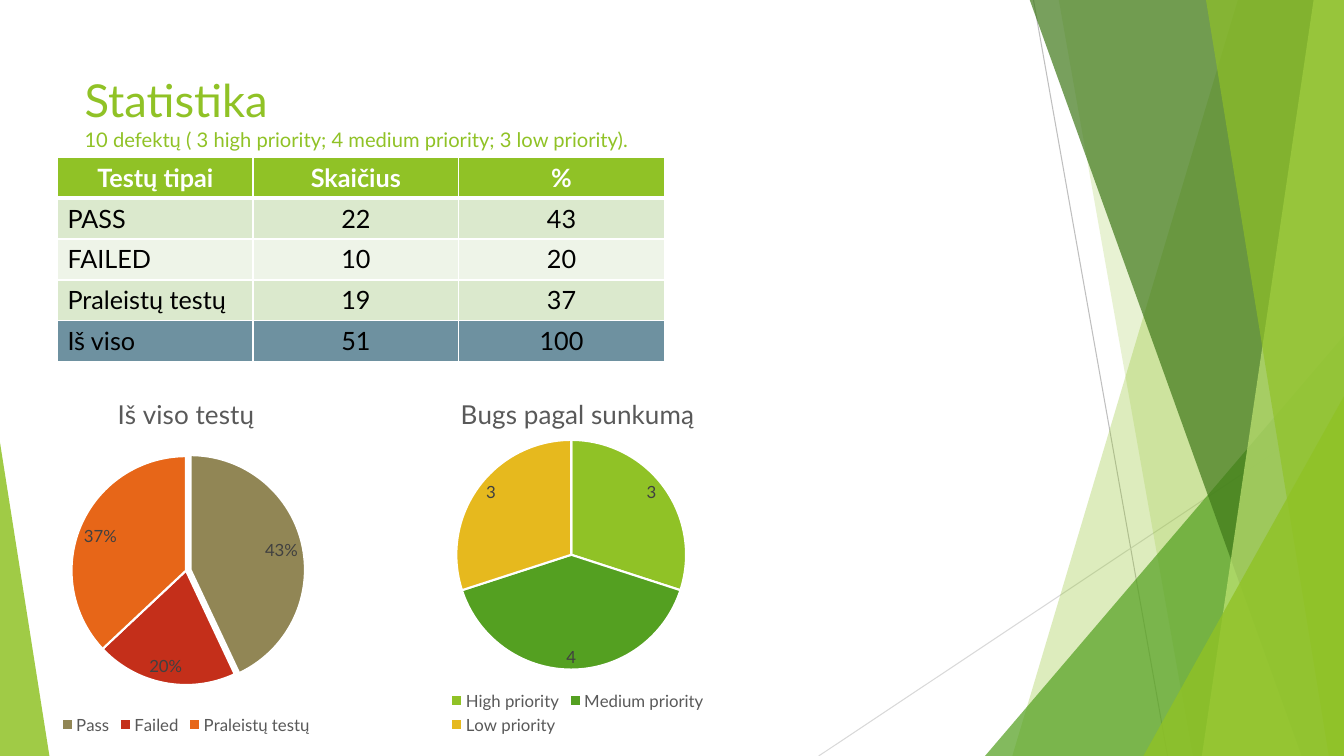
from dataclasses import dataclass

from lxml import etree
from pptx import Presentation
from pptx import util as u
from pptx.chart.data import CategoryChartData
from pptx.dml.color import RGBColor
from pptx.enum import chart as charts, shapes, text
from pptx.oxml import parse_xml
from pptx.oxml.ns import nsdecls, qn


@dataclass(frozen=True)
class Theme:
    font: str = "Lato"
    green: str = "90C226"
    leaf: str = "54A021"
    forest: str = "3F7819"
    lime: str = "C0E474"
    yellow: str = "E6B91E"
    khaki: str = "918655"
    red: str = "C42F1A"
    orange: str = "E76618"
    band_dark: str = "DBE9CD"
    band_light: str = "EEF4E8"
    total: str = "6E91A0"
    white: str = "FFFFFF"
    black: str = "000000"
    caption: str = "595959"
    value: str = "404040"
    title_size: float = 32.4
    subtitle_size: float = 14.4
    table_size: float = 18
    chart_title_size: float = 18.6
    chart_size: float = 12


THEME = Theme()
TOP, BOTTOM, RIGHT = -0.01, 7.5, 13.33


def rgb(color):
    return RGBColor.from_string(color)


def set_font(font, size, color, bold=False):
    style = {"name": THEME.font, "size": u.Pt(size), "bold": bold}
    for attribute, setting in style.items():
        setattr(font, attribute, setting)
    font.color.rgb = rgb(color)


def paint(shape, color, opacity):
    """Fill a shape with a colour at an opacity in percent, without outline."""
    shape.shadow.inherit = False
    shape.line.fill.background()
    shape.fill.solid()
    shape.fill.fore_color.rgb = rgb(color)
    tint = shape.fill._xPr.find(".//" + qn("a:srgbClr"))
    etree.SubElement(tint, qn("a:alpha"), val=str(opacity * 1000))


def add_ray(slide, start, end, color):
    ray = slide.shapes.add_connector(
        shapes.MSO_CONNECTOR.STRAIGHT, *map(u.Inches, start + end))
    ray.line.color.rgb = rgb(color)
    ray.line.width = u.Pt(0.75)
    etree.SubElement(ray._element.spPr, qn("a:effectLst"))


def add_blade(slide, top_x, bottom_x, color, opacity):
    """Add a full-height band from a slanted left edge to the slide's right."""
    corners = [(top_x, TOP), (RIGHT, TOP), (RIGHT, BOTTOM), (bottom_x, BOTTOM)]
    points = [(u.Inches(x), u.Inches(y)) for x, y in corners]
    outline = slide.shapes.build_freeform(*points[0], scale=1.0)
    outline.add_line_segments(points[1:], close=True)
    paint(outline.convert_to_shape(), color, opacity)


def add_wedge(slide, left, top, width, apex, color, opacity):
    """Add a triangle standing on the slide's bottom edge."""
    box = (left, top, width, BOTTOM - top)
    wedge = slide.shapes.add_shape(
        shapes.MSO_SHAPE.ISOSCELES_TRIANGLE, *map(u.Inches, box))
    wedge.adjustments[0] = apex
    paint(wedge, color, opacity)


def add_facets(slide):
    add_ray(slide, (10.25, 0), (11.58, 7.5), "BFBFBF")
    add_ray(slide, (13.33, 4.03), (8.12, 7.5), "D9D9D9")
    add_blade(slide, 12.28, 10.04, THEME.green, 30)
    add_blade(slide, 10.5, 11.83, THEME.green, 20)
    add_wedge(slide, 9.77, 3.33, 3.56, 1, THEME.leaf, 72)
    add_blade(slide, 10.21, 12.91, THEME.forest, 70)
    add_blade(slide, 13.03, 11.92, THEME.lime, 70)
    add_blade(slide, 11.96, 13.18, THEME.green, 65)
    add_wedge(slide, 11.34, 3.93, 1.99, 1, THEME.green, 80)
    add_wedge(slide, 0, 4.39, 0.49, 0, THEME.green, 85)


def add_heading(slide, lines):
    box = slide.shapes.add_textbox(*map(u.Inches, (0.74, 0.67, 9.4, 1.44)))
    heading = box.text_frame
    heading.word_wrap = True
    for number, (wording, size) in enumerate(lines):
        line = heading.add_paragraph() if number else heading.paragraphs[0]
        line.text = wording
        set_font(line.font, size, THEME.green)


def set_borders(cell, widths):
    for side, width in widths.items():
        cell._tc.get_or_add_tcPr().append(parse_xml(
            f'<a:{side} {nsdecls("a")} w="{u.Pt(width)}"><a:solidFill>'
            f'<a:srgbClr val="{THEME.white}"/></a:solidFill></a:{side}>'))


def add_results_table(slide, rows):
    fills = [THEME.green, THEME.band_dark, THEME.band_light,
             THEME.band_dark, THEME.total]
    frame = slide.shapes.add_table(
        len(rows), 3, *map(u.Inches, (0.57, 1.56, 6.02, 2.03)))
    table = frame.table
    for column, width in zip(table.columns, (1.94, 2.04, 2.04)):
        column.width = u.Inches(width)
    for r, row in enumerate(rows):
        for c, wording in enumerate(row):
            cell = table.cell(r, c)
            set_borders(cell, {"lnL": 1, "lnR": 1, "lnT": 3 if r == 1 else 1,
                               "lnB": 3 if r == 0 else 1})
            cell.fill.solid()
            cell.fill.fore_color.rgb = rgb(fills[r])
            cell.text = wording
            entry = cell.text_frame.paragraphs[0]
            header = r == 0
            if header or c:
                entry.alignment = text.PP_ALIGN.CENTER
            set_font(entry.font, THEME.table_size,
                     THEME.white if header else THEME.black, header)


def add_pie(slide, left, width, title, slices, number_format):
    """Add a pie whose slices are (name, value, colour) and return the chart."""
    names, values, colors = zip(*slices)
    data = CategoryChartData()
    data.categories = names
    data.add_series(title, values)
    box = map(u.Inches, (left, 3.75, width, 3.58))
    pie = slide.shapes.add_chart(
        charts.XL_CHART_TYPE.PIE, *box, data).chart
    set_font(pie.font, THEME.chart_size, THEME.caption)

    pie.has_title = True
    pie.chart_title.include_in_layout = False
    caption = pie.chart_title.text_frame
    caption.text = title
    set_font(caption.paragraphs[0].runs[0].font,
             THEME.chart_title_size, THEME.caption)

    pie.has_legend = True
    pie.legend.position = charts.XL_LEGEND_POSITION.BOTTOM
    pie.legend.include_in_layout = False
    set_font(pie.legend.font, THEME.chart_size, THEME.caption)

    plot = pie.plots[0]
    plot.vary_by_categories = True
    for number, color in enumerate(colors):
        look = plot.series[0].points[number].format
        look.fill.solid()
        look.fill.fore_color.rgb = rgb(color)
        look.line.color.rgb = rgb(THEME.white)
        look.line.width = u.Pt(1.5)
    labels = plot.series[0].data_labels
    settings = {"show_value": True, "show_percentage": False,
                "number_format": number_format,
                "number_format_is_linked": False,
                "position": charts.XL_LABEL_POSITION.BEST_FIT}
    for attribute, setting in settings.items():
        setattr(labels, attribute, setting)
    set_font(labels.font, THEME.chart_size, THEME.value)
    return pie


def pull_out_first_slice(pie, percent):
    first = pie.plots[0].series[0]._element.find(qn("c:dPt"))
    first.find(qn("c:spPr")).addprevious(
        parse_xml(f'<c:explosion {nsdecls("c")} val="{percent}"/>'))


def place_plot(pie, x, y, w, h):
    """Fix the inner plot area as fractions of the chart."""
    area = pie._chartSpace.find(".//" + qn("c:plotArea"))
    for automatic in area.findall(qn("c:layout")):
        area.remove(automatic)
    layout = parse_xml(f'<c:layout {nsdecls("c")}><c:manualLayout/></c:layout>')
    parts = {"layoutTarget": "inner", "xMode": "edge", "yMode": "edge",
             "x": x, "y": y, "w": w, "h": h}
    for tag, setting in parts.items():
        etree.SubElement(layout[0], qn(f"c:{tag}"), val=str(setting))
    area.insert(0, layout)


def main():
    deck = Presentation()
    deck.slide_width, deck.slide_height = u.Inches(RIGHT), u.Inches(BOTTOM)
    slide = deck.slides.add_slide(deck.slide_layouts[6])
    add_facets(slide)
    add_heading(slide, [
        ("Statistika", THEME.title_size),
        ("10 defektų ( 3 high priority; 4 medium priority; 3 low priority).",
         THEME.subtitle_size)])
    add_results_table(slide, [
        ("Testų tipai", "Skaičius", "%"), ("PASS", "22", "43"),
        ("FAILED", "10", "20"), ("Praleistų testų", "19", "37"),
        ("Iš viso", "51", "100")])
    tests = add_pie(slide, -0.4, 4.49, "Iš viso testų", [
        ("Pass", 0.43, THEME.khaki), ("Failed", 0.2, THEME.red),
        ("Praleistų testų", 0.37, THEME.orange)], "0%")
    pull_out_first_slice(tests, 4)
    bugs = add_pie(slide, 3.58, 4.3, "Bugs pagal sunkumą", [
        ("High priority", 3, THEME.green), ("Medium priority", 4, THEME.leaf),
        ("Low priority", 3, THEME.yellow)], "General")
    place_plot(bugs, 0.22, 0.16, 0.53, 0.66)
    deck.save("out.pptx")


if __name__ == "__main__":
    main()
